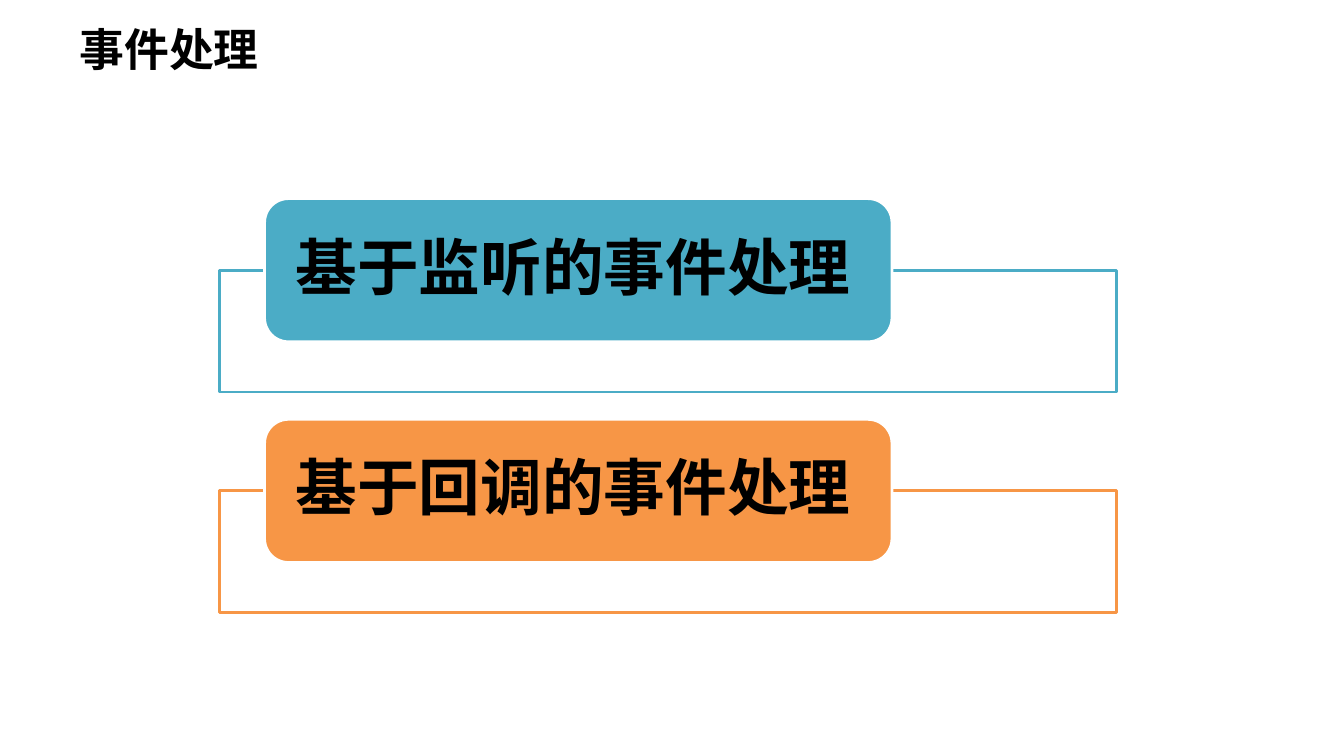
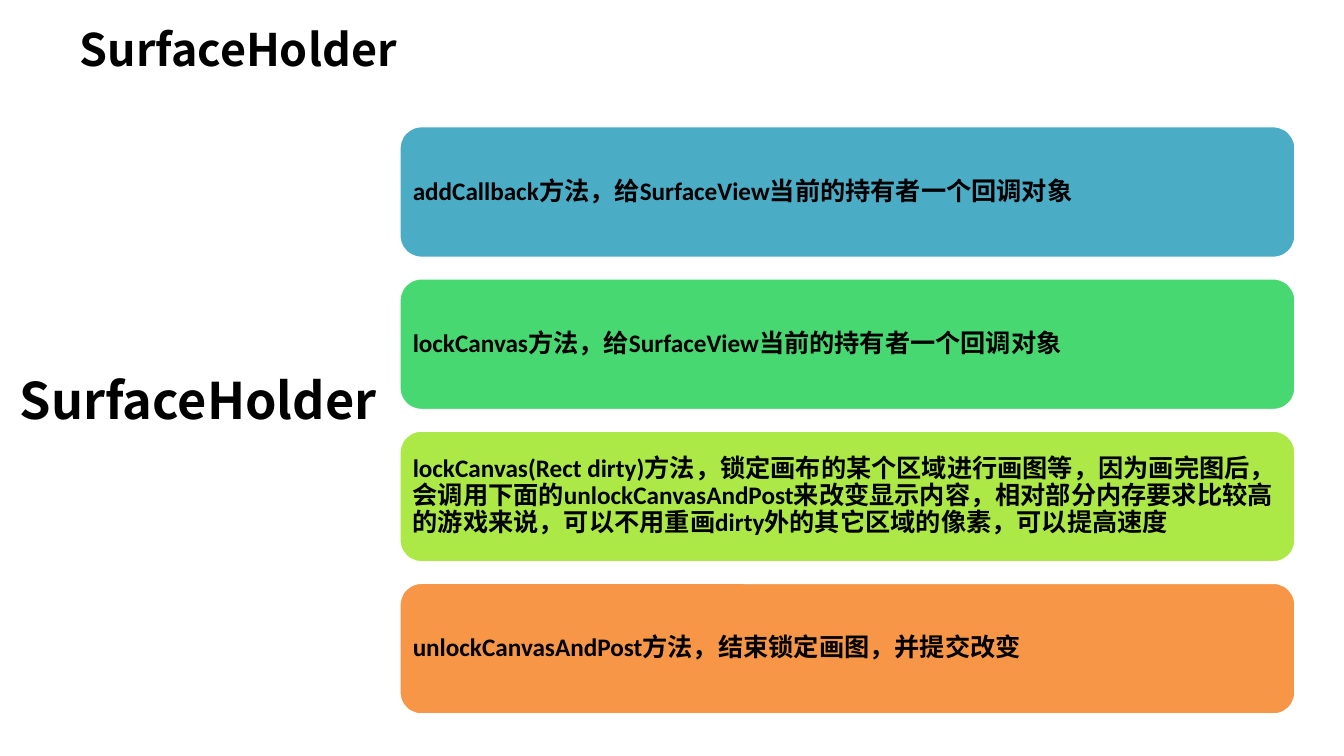
from lxml import etree
from pptx import Presentation
from pptx.dml.color import RGBColor
from pptx.enum.shapes import MSO_SHAPE
from pptx.enum.text import MSO_ANCHOR, PP_ALIGN
from pptx.oxml.ns import qn
from pptx.util import Inches, Pt

BLACK = RGBColor(0x00, 0x00, 0x00)
WHITE = RGBColor(0xFF, 0xFF, 0xFF)
TEAL = RGBColor(0x4B, 0xAC, 0xC6)
GREEN = RGBColor(0x47, 0xD8, 0x72)
LIME = RGBColor(0xAC, 0xE9, 0x46)
ORANGE = RGBColor(0xF7, 0x96, 0x46)
HEADING_FONT = "Noto Sans CJK SC"
BODY_FONT = "Calibri"

APPROACHES = [("基于监听的事件处理", TEAL), ("基于回调的事件处理", ORANGE)]
METHODS = [
    ("addCallback方法，给SurfaceView当前的持有者一个回调对象", TEAL),
    ("lockCanvas方法，给SurfaceView当前的持有者一个回调对象", GREEN),
    ("lockCanvas(Rect dirty)方法，锁定画布的某个区域进行画图等，因为画完图后，"
     "会调用下面的unlockCanvasAndPost来改变显示内容，相对部分内存要求比较高的游戏来说，"
     "可以不用重画dirty外的其它区域的像素，可以提高速度", LIME),
    ("unlockCanvasAndPost方法，结束锁定画图，并提交改变", ORANGE),
]


def write(shape, text, size, font, align=PP_ALIGN.LEFT):
    """Put one bold black paragraph in a shape and return it."""
    frame = shape.text_frame
    frame.text = text
    para = frame.paragraphs[0]
    para.alignment = align
    for span in para.runs:
        span.font.size = Pt(size)
        span.font.bold = True
        span.font.name = font
        span.font.color.rgb = BLACK
        east_asian = etree.SubElement(span.font._element, qn("a:ea"))
        east_asian.set("typeface", HEADING_FONT)
    return para


def add_heading(page, text, box, size=32, align=PP_ALIGN.LEFT, wrap=True):
    """Add a bold heading that starts at the top of its box."""
    shape = page.shapes.add_textbox(*map(Inches, box))
    frame = shape.text_frame
    frame.word_wrap = wrap
    frame.margin_top = frame.margin_bottom = 0
    write(shape, text, size, HEADING_FONT, align)


def add_panel(page, kind, box, fill, line):
    """Add a filled and outlined shape without a shadow."""
    shape = page.shapes.add_shape(kind, *map(Inches, box))
    shape.shadow.inherit = False
    shape.fill.solid()
    shape.fill.fore_color.rgb = fill
    shape.line.color.rgb = line
    shape.line.width = Pt(2)
    return shape


def add_card(page, text, box, fill, size, side, edge):
    """Add a rounded card with vertically centred text."""
    card = add_panel(page, MSO_SHAPE.ROUNDED_RECTANGLE, box, fill, WHITE)
    frame = card.text_frame
    frame.word_wrap = True
    frame.vertical_anchor = MSO_ANCHOR.MIDDLE
    frame.margin_left = frame.margin_right = Inches(side)
    frame.margin_top = frame.margin_bottom = Inches(edge)
    write(card, text, size, BODY_FONT).line_spacing = 0.9


def add_framed_list(page, items, box, gap=0.27):
    """Stack frames whose top edge runs behind the middle of a label."""
    left, top, width, height = box
    row = (height - gap * (len(items) - 1)) / len(items)
    label = row * 0.74
    for index, (text, color) in enumerate(items):
        row_top = top + index * (row + gap)
        frame_box = (left, row_top + label / 2, width, row - label / 2)
        add_panel(page, MSO_SHAPE.RECTANGLE, frame_box, WHITE, color)
        label_box = (left + width * 0.05, row_top, width * 0.7, label)
        add_card(page, text, label_box, color, 44, 0.24, 0)


def add_card_list(page, items, box, gap=0.2):
    """Stack equal cards down a box."""
    left, top, width, height = box
    row = (height - gap * (len(items) - 1)) / len(items)
    for index, (text, color) in enumerate(items):
        card_box = (left, top + index * (row + gap), width, row)
        add_card(page, text, card_box, color, 18, 0.07, 0.07)


def add_page(deck, title):
    """Add a blank page with its title."""
    page = deck.slides.add_slide(deck.slide_layouts[6])
    add_heading(page, title, (0.69, 0.22, 5.18, 0.64))
    return page


def main():
    """Build and save both pages."""
    deck = Presentation()
    deck.slide_width = Inches(13.33)
    deck.slide_height = Inches(7.5)

    page = add_page(deck, "事件处理")
    add_framed_list(page, APPROACHES, (2.18, 1.97, 8.89, 4.11))

    page = add_page(deck, "SurfaceHolder")
    add_heading(page, "SurfaceHolder", (0.04, 3.66, 3.85, 0.71), 36,
                PP_ALIGN.CENTER, wrap=False)
    add_card_list(page, METHODS, (3.96, 1.25, 8.89, 5.84))

    deck.save("out.pptx")


if __name__ == "__main__":
    main()
